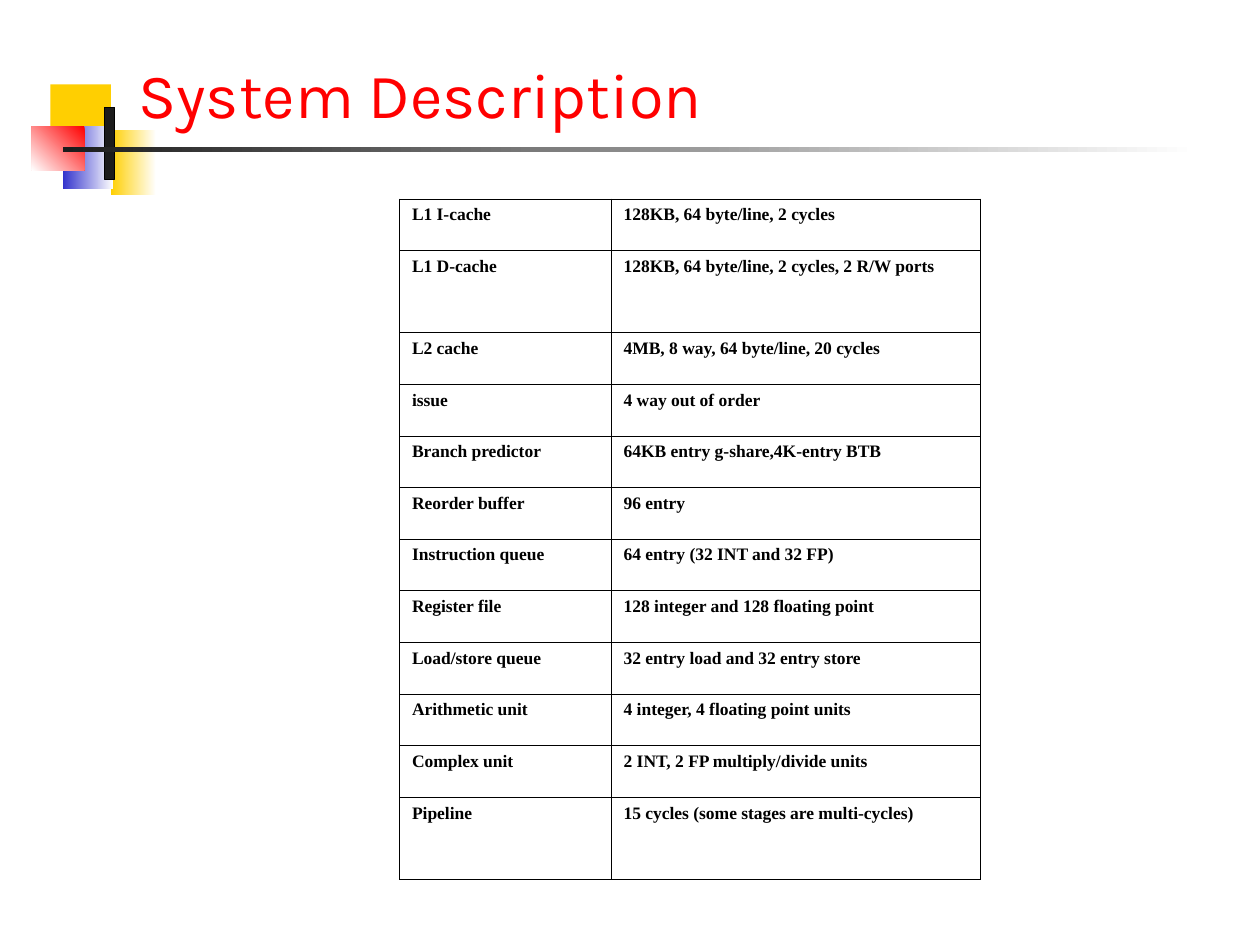
from dataclasses import dataclass

from lxml.etree import SubElement
from pptx import Presentation
from pptx.dml.color import RGBColor
from pptx.enum.shapes import MSO_SHAPE
from pptx.enum.text import MSO_ANCHOR, MSO_AUTO_SIZE, PP_ALIGN
from pptx.oxml.ns import qn
from pptx.util import Inches, Pt


@dataclass(frozen=True)
class Theme:
    white: str = "FFFFFF"
    black: str = "000000"
    charcoal: str = "1C1C1C"
    yellow: str = "FFCF01"
    blue: str = "3333CC"
    red: str = "FF0000"
    title_font: str = "Karla"
    table_font: str = "Times New Roman"
    title_size: float = 36
    table_size: float = 10
    border_width: float = 0.45
    outline_width: float = 0.25


class SlideBuilder:
    def __init__(self, slide, theme):
        self.slide = slide
        self.theme = theme

    def add_run(self, paragraph, text, font, size, color, bold=False):
        run = paragraph.add_run()
        run.text = text
        run.font.name = font
        run.font.size = Pt(size)
        run.font.bold = bold
        run.font.color.rgb = RGBColor.from_string(color)

    def add_block(self, box, color, fade_to=None, angle=180, outline=None):
        shape = self.slide.shapes.add_shape(MSO_SHAPE.RECTANGLE, *map(Inches, box))
        shape.shadow.inherit = False
        if fade_to:
            shape.fill.gradient()
            shape.fill.gradient_angle = angle
            for stop, position, tone in zip(
                shape.fill.gradient_stops, (0, 1), (color, fade_to)
            ):
                stop.position = position
                stop.color.rgb = RGBColor.from_string(tone)
        else:
            shape.fill.solid()
            shape.fill.fore_color.rgb = RGBColor.from_string(color)
        if outline:
            shape.line.color.rgb = RGBColor.from_string(outline)
            shape.line.width = Pt(self.theme.outline_width)
        else:
            shape.line.fill.background()

    def add_title(self, text, box):
        theme = self.theme
        title = self.slide.shapes.title
        title.left, title.top, title.width, title.height = map(Inches, box)
        self.slide.shapes._spTree.append(title._element)
        frame = title.text_frame
        frame.word_wrap = True
        frame.auto_size = MSO_AUTO_SIZE.NONE
        frame.vertical_anchor = MSO_ANCHOR.BOTTOM
        paragraph = frame.paragraphs[0]
        paragraph.alignment = PP_ALIGN.LEFT
        self.add_run(paragraph, text, theme.title_font, theme.title_size, theme.red)

    def add_borders(self, cell):
        properties = cell._tc.get_or_add_tcPr()
        for side in ("a:lnL", "a:lnR", "a:lnT", "a:lnB"):
            line = SubElement(properties, qn(side), w=str(Pt(self.theme.border_width)))
            fill = SubElement(line, qn("a:solidFill"))
            SubElement(fill, qn("a:srgbClr"), val=self.theme.black)

    def add_table(self, rows, left, top, column_widths, row_heights):
        theme = self.theme
        table = self.slide.shapes.add_table(
            len(rows), len(column_widths), Inches(left), Inches(top),
            Inches(sum(column_widths)), Inches(sum(row_heights)),
        ).table
        table.first_row = False
        table.horz_banding = False
        for column, width in zip(table.columns, column_widths):
            column.width = Inches(width)
        for row, height, texts in zip(table.rows, row_heights, rows):
            row.height = Inches(height)
            for cell, text in zip(row.cells, texts):
                self.add_borders(cell)
                cell.fill.background()
                self.add_run(
                    cell.text_frame.paragraphs[0], text,
                    theme.table_font, theme.table_size, theme.black, bold=True,
                )


SYSTEM_ROWS = [
    ("L1 I-cache", "128KB, 64 byte/line, 2 cycles"),
    ("L1 D-cache", "128KB, 64 byte/line, 2 cycles, 2 R/W ports"),
    ("L2 cache", "4MB, 8 way, 64 byte/line, 20 cycles"),
    ("issue", "4 way out of order"),
    ("Branch predictor", "64KB entry g-share,4K-entry BTB"),
    ("Reorder buffer", "96 entry"),
    ("Instruction queue", "64 entry (32 INT and 32 FP)"),
    ("Register file", "128 integer and 128 floating point"),
    ("Load/store queue", "32 entry load and 32 entry store"),
    ("Arithmetic unit", "4 integer, 4 floating point units"),
    ("Complex unit", "2 INT, 2 FP multiply/divide units"),
    ("Pipeline", "15 cycles (some stages are multi-cycles)"),
]
TALL_ROWS = ("L1 D-cache", "Pipeline")


def main():
    presentation = Presentation()
    presentation.slide_width = Inches(10)
    presentation.slide_height = Inches(7.5)
    slide = presentation.slides.add_slide(presentation.slide_layouts[5])
    theme = Theme()
    builder = SlideBuilder(slide, theme)

    builder.add_block((0.4, 0.67, 0.48, 0.39), theme.yellow)
    builder.add_block((0.88, 1.03, 0.36, 0.52), theme.white, theme.yellow)
    builder.add_block((0.5, 1, 0.4, 0.5), theme.white, theme.blue)
    builder.add_block((0.25, 1, 0.42, 0.35), theme.red, theme.white, angle=225)
    builder.add_block((0.83, 0.85, 0.08, 0.57), theme.charcoal, outline=theme.black)
    builder.add_block((0.5, 1.17, 9, 0.04), theme.white, theme.charcoal)
    builder.add_title("System Description", (1, 0.42, 8.78, 0.67))

    row_heights = [0.65 if name in TALL_ROWS else 0.41 for name, _ in SYSTEM_ROWS]
    builder.add_table(SYSTEM_ROWS, 3.17, 1.58, (1.68, 2.93), row_heights)

    presentation.save("out.pptx")


if __name__ == "__main__":
    main()
